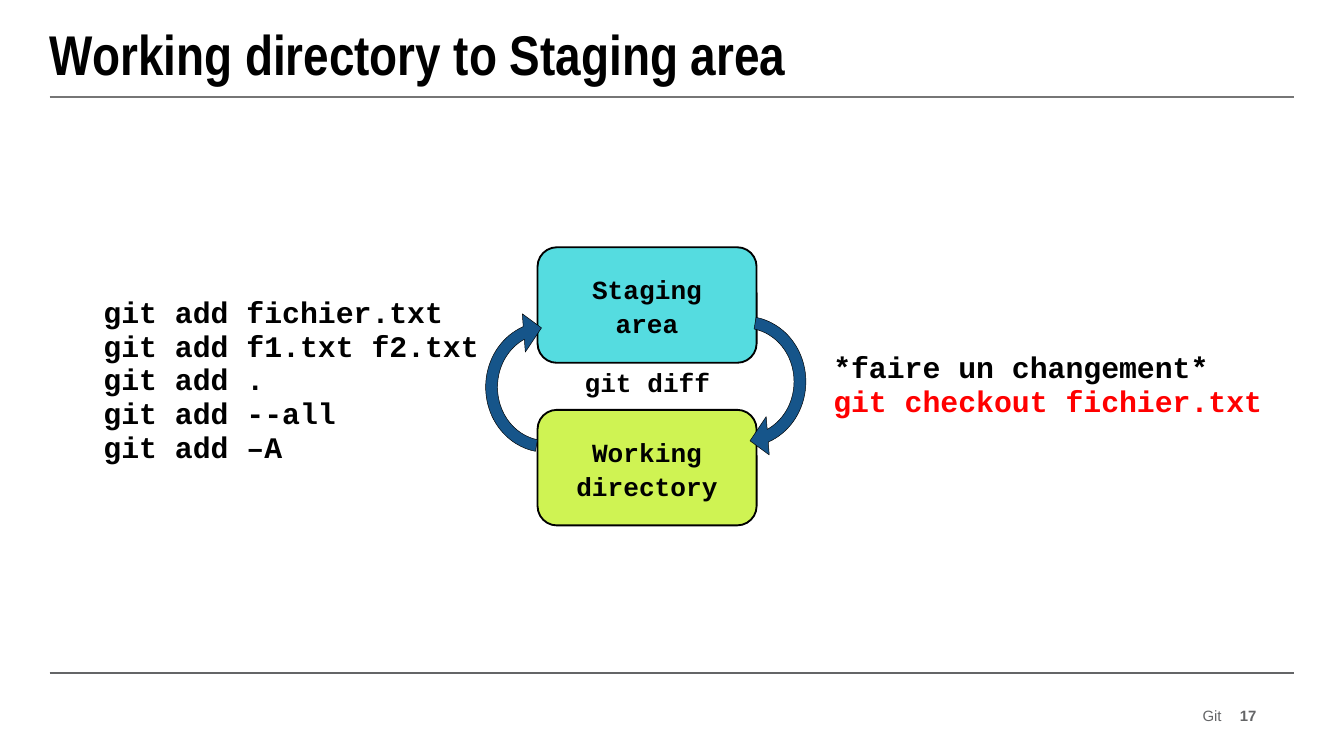
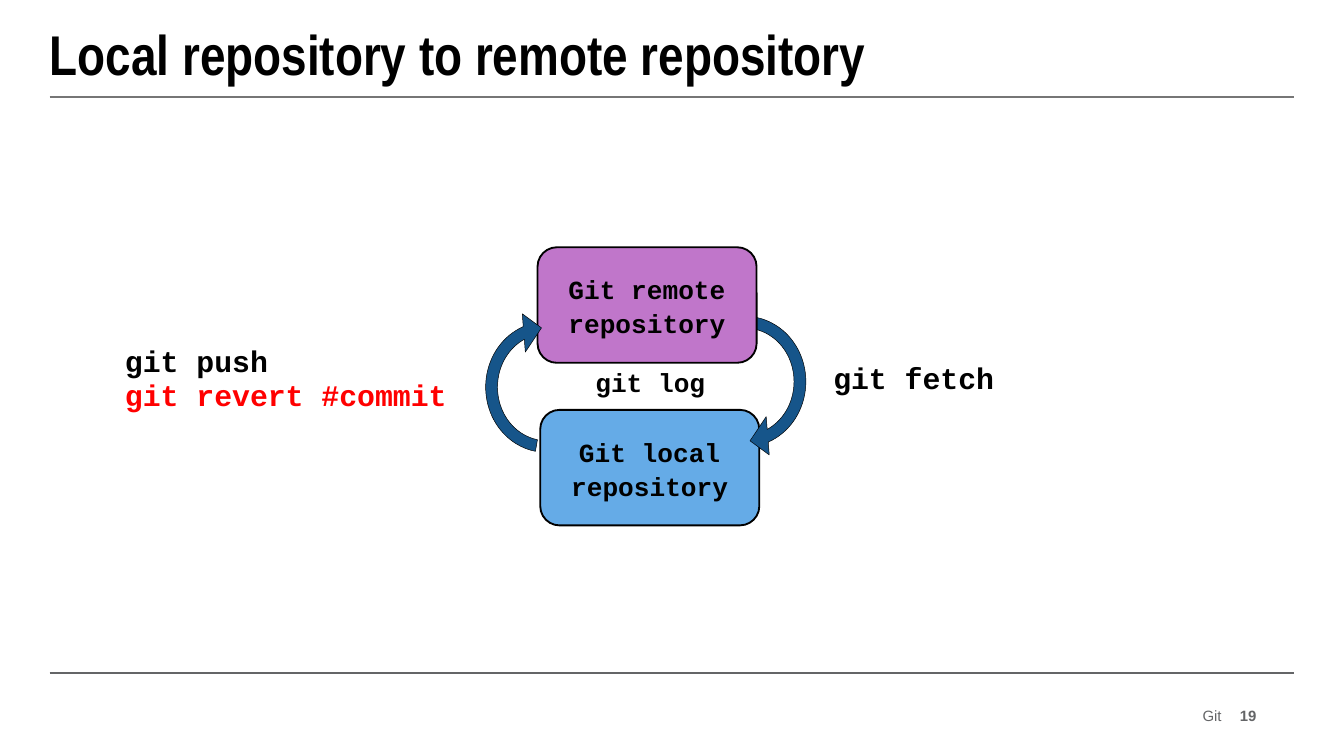
import pptx
import pptx.dml.color
import pptx.enum.shapes
import pptx.enum.text
import pptx.oxml
import pptx.oxml.ns
import pptx.util

BLACK, WHITE, RED = "000000", "FFFFFF", "FF0000"
GREY, RULE_GREY, ARROW_BLUE = "646567", "767676", "16558A"
CODE_FONT, TITLE_FONT, FOOTER_FONT = "Courier New", "Arial Narrow", "Arial"
ALIGN = pptx.enum.text.PP_ALIGN
SHAPE = pptx.enum.shapes.MSO_SHAPE

COLUMNS, ROWS = 100, 56.25
BOX_WIDTH, BOX_HEIGHT = 16.3, 8.6
BOX_LEFT, UPPER_TOP, LOWER_TOP = 40, 18.4, 30.5
ARROW_WIDTH, ARROW_HEIGHT = 11.7, 11
ARROW_ADJUSTMENTS = (0.08, 10.76, 202.48, 113.73, 0.13)


def color(hex_string):
    return pptx.dml.color.RGBColor.from_string(hex_string)


class Deck:
    """Holds the style and the current slide; lengths are in grid columns and rows."""

    def __init__(self):
        self.presentation = pptx.Presentation()
        self.presentation.slide_width = pptx.util.Inches(10)
        self.presentation.slide_height = pptx.util.Inches(5.625)
        self.slide = None

    def frame(self, left, top, width, height):
        column = self.presentation.slide_width / COLUMNS
        row = self.presentation.slide_height / ROWS
        return [round(count * unit) for count, unit in
                ((left, column), (top, row), (width, column), (height, row))]

    def set_text(self, text_frame, text, size, font=CODE_FONT, text_color=BLACK,
                 bold=True, align=ALIGN.LEFT, spacing=1.0):
        text_frame.text = text
        for paragraph in text_frame.paragraphs:
            paragraph.alignment = align
            paragraph.line_spacing = spacing
            for run in paragraph.runs:
                run.font.size = pptx.util.Pt(size)
                run.font.name = font
                run.font.bold = bold
                run.font.color.rgb = color(text_color)

    def set_insets(self, text_frame, inset):
        text_frame.margin_left = text_frame.margin_right = pptx.util.Inches(inset)
        text_frame.margin_top = text_frame.margin_bottom = pptx.util.Inches(inset)
        text_frame.vertical_anchor = pptx.enum.text.MSO_ANCHOR.MIDDLE

    def new_slide(self, title, number):
        self.slide = self.presentation.slides.add_slide(
            self.presentation.slide_layouts[5])
        self.rule(50.1, GREY)
        self.rule(7.2, RULE_GREY)
        self.title(title)
        self.footer("Git", 68.9, 22, False)
        self.footer(str(number), 91.5, 2, True)

    def title(self, text):
        shape = self.slide.shapes.title
        shape.left, shape.top, shape.width, shape.height = self.frame(3.7, 0.9, 92.5, 6.1)
        self.set_insets(shape.text_frame, 0)
        shape.text_frame.auto_size = pptx.enum.text.MSO_AUTO_SIZE.NONE
        self.set_text(shape.text_frame, text, 30, TITLE_FONT)

    def rule(self, row, line_color):
        left, top, width, _ = self.frame(3.7, row, 92.6, 0)
        connector = self.slide.shapes.add_connector(
            pptx.enum.shapes.MSO_CONNECTOR.STRAIGHT, left, top, left + width, top)
        connector.line.color.rgb = color(line_color)
        connector.line.width = pptx.util.Pt(1)
        properties = connector.element.spPr
        properties.append(pptx.oxml.parse_xml(
            f'<a:effectLst {pptx.oxml.ns.nsdecls("a")}/>'))

    def footer(self, text, left, width, bold):
        shape = self.slide.shapes.add_textbox(*self.frame(left, 52.5, width, 1.5))
        self.set_insets(shape.text_frame, 0)
        shape.text_frame.word_wrap = False
        self.set_text(shape.text_frame, text, 8, FOOTER_FONT, GREY, bold, ALIGN.RIGHT)

    def preset(self, kind, frame, fill, line_width):
        shape = self.slide.shapes.add_shape(kind, *self.frame(*frame))
        shape.shadow.inherit = False
        shape.fill.solid()
        shape.fill.fore_color.rgb = color(fill)
        shape.line.color.rgb = color(BLACK)
        shape.line.width = pptx.util.Pt(line_width)
        return shape

    def box(self, text, top, fill, left=BOX_LEFT):
        shape = self.preset(SHAPE.ROUNDED_RECTANGLE,
                            (left, top, BOX_WIDTH, BOX_HEIGHT), fill, 1)
        self.set_insets(shape.text_frame, 0.1)
        shape.text_frame.word_wrap = True
        self.set_text(shape.text_frame, text, 14, align=ALIGN.CENTER, spacing=1.08)

    def arrow(self, left, top, rotation):
        shape = self.preset(SHAPE.CIRCULAR_ARROW,
                            (left, top, ARROW_WIDTH, ARROW_HEIGHT), ARROW_BLUE, 0.25)
        shape.rotation = rotation
        for index, value in enumerate(ARROW_ADJUSTMENTS):
            shape.adjustments[index] = value

    def up_arrow(self):
        self.arrow(34.8, 23.3, 270)

    def down_arrow(self):
        self.arrow(49.6, 22.9, 90)

    def commands(self, lines, left, top, width, height, size=16, indent=0.1, red_line=None):
        """Adds a one-cell table of commands; red_line is the index of an undo command."""
        table = self.slide.shapes.add_table(
            1, 1, *self.frame(left, top, width, height)).table
        table.first_row = table.horz_banding = False
        cell = table.cell(0, 0)
        cell.margin_left = pptx.util.Inches(indent)
        self.set_text(cell.text_frame, "\n".join(lines), size)
        if red_line is not None:
            for run in cell.text_frame.paragraphs[red_line].runs:
                run.font.color.rgb = color(RED)
        properties = cell._tc.get_or_add_tcPr()
        for side, points in zip("LRTB", (1, 1, 1, 3)):
            properties.append(pptx.oxml.parse_xml(
                f'<a:ln{side} {pptx.oxml.ns.nsdecls("a")} w="{pptx.util.Pt(points)}">'
                f'<a:solidFill><a:srgbClr val="{WHITE}"/></a:solidFill></a:ln{side}>'))
        cell.fill.background()

    def inspect_command(self, text, left):
        self.commands([text], left, 27.1, 15.7, 3.4, size=14, indent=0.22)


def build_staging(deck):
    deck.new_slide("Working directory to Staging area", 17)
    deck.inspect_command("git diff", 41.3)
    deck.commands(["git add fichier.txt", "git add f1.txt f2.txt", "git add .",
                   "git add --all", "git add –A"], 6.7, 21.7, 32.3, 14.3)
    deck.box("Working directory", LOWER_TOP, "CFF353")
    deck.box("Staging area", UPPER_TOP, "55DCE0")
    deck.up_arrow()
    deck.down_arrow()
    deck.commands(["*faire un changement*", "git checkout fichier.txt"],
                  61, 25.8, 36.2, 6.3, red_line=1)


def build_remote(deck):
    deck.new_slide("Local repository to remote repository", 19)
    deck.inspect_command("git log", 42.1)
    deck.box("Git local repository", LOWER_TOP, "65ABE7", left=40.2)
    deck.commands(["git push", "git revert #commit"], 8.3, 25.4, 27.6, 9, red_line=1)
    deck.commands(["git fetch"], 61, 26.6, 15, 4.1)
    deck.down_arrow()
    deck.box("Git remote repository", UPPER_TOP, "C076CA")
    deck.up_arrow()


def main():
    deck = Deck()
    build_staging(deck)
    build_remote(deck)
    deck.presentation.save("out.pptx")


if __name__ == "__main__":
    main()
